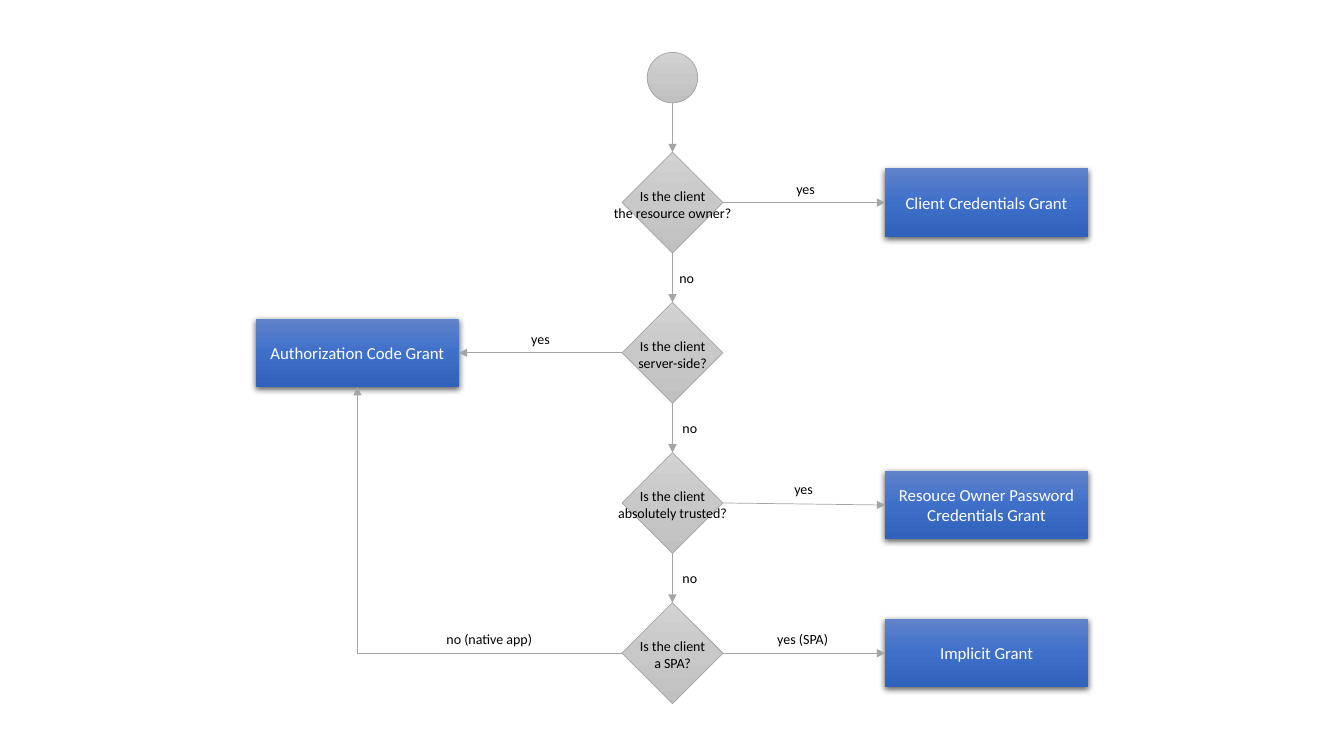
import copy
import dataclasses
import pptx
import pptx.dml.color
import pptx.enum.shapes
import pptx.enum.text
import pptx.oxml
import pptx.oxml.ns
import pptx.util

Inches = pptx.util.Inches
Pt = pptx.util.Pt
Shape = pptx.enum.shapes.MSO_SHAPE
Connector = pptx.enum.shapes.MSO_CONNECTOR
Align = pptx.enum.text.PP_ALIGN
qn = pptx.oxml.ns.qn


@dataclasses.dataclass(frozen=True)
class Theme:
    font: str = "Calibri"
    grey: tuple = ("D2D2D2", "C8C8C8", "C0C0C0")
    blue: tuple = ("6183CB", "3E70CA", "3062BB")
    line: str = "A5A5A5"
    dark: str = "000000"
    light: str = "FFFFFF"
    label_size: int = 10
    grant_size: int = 12
    line_width: float = 0.5


def rgb(value):
    return pptx.dml.color.RGBColor.from_string(value)


def xml(markup):
    namespace = pptx.oxml.ns.nsdecls("a")
    return pptx.oxml.parse_xml(markup.replace(">", f" {namespace}>", 1))


class FlowChart:
    def __init__(self, slide, theme):
        self.theme = theme
        self.shapes = slide.shapes.add_group_shape().shapes

    def outline(self, line):
        line.color.rgb = rgb(self.theme.line)
        line.width = Pt(self.theme.line_width)

    def set_text(self, box, text, size, color, align):
        box.text_frame.text = text
        para = box.text_frame.paragraphs[0]
        para.alignment = align
        for span in para.runs:
            for name, value in {"name": self.theme.font, "size": Pt(size)}.items():
                setattr(span.font, name, value)
            span.font.color.rgb = rgb(color)

    def gradient_shape(self, kind, left, top, width, height, colors):
        shape = self.shapes.add_shape(
            kind, Inches(left), Inches(top), Inches(width), Inches(height))
        shape.shadow.inherit = False
        shape.fill.gradient()
        shape.fill.gradient_angle = 270
        stops = shape.element.spPr.find(".//" + qn("a:gsLst"))
        stops.insert(1, copy.deepcopy(stops[0]))
        for index, (stop, color) in enumerate(zip(shape.fill.gradient_stops, colors)):
            stop.position = index / 2
            stop.color.rgb = rgb(color)
        return shape

    def node(self, kind, left, top, size):
        shape = self.gradient_shape(kind, left, top, size, size, self.theme.grey)
        self.outline(shape.line)

    def grant(self, text, left, top, width, height):
        box = self.gradient_shape(
            Shape.RECTANGLE, left, top, width, height, self.theme.blue)
        box.line.fill.background()
        box.element.spPr.find(qn("a:effectLst")).append(xml(
            '<a:outerShdw blurRad="57150" dist="19050" dir="5400000" algn="ctr"'
            ' rotWithShape="0"><a:srgbClr val="000000"><a:alpha val="63000"/>'
            '</a:srgbClr></a:outerShdw>'))
        box.text_frame.word_wrap = True
        box.text_frame.vertical_anchor = pptx.enum.text.MSO_ANCHOR.MIDDLE
        self.set_text(box, text, self.theme.grant_size, self.theme.light, Align.CENTER)

    def label(self, text, left, top, width, height=0.27, align=Align.LEFT):
        box = self.shapes.add_textbox(
            Inches(left), Inches(top), Inches(width), Inches(height))
        settings = {"word_wrap": False,
                    "auto_size": pptx.enum.text.MSO_AUTO_SIZE.SHAPE_TO_FIT_TEXT}
        for name, value in settings.items():
            setattr(box.text_frame, name, value)
        self.set_text(box, text, self.theme.label_size, self.theme.dark, align)

    def arrow(self, start, end, kind=Connector.STRAIGHT):
        arrow = self.shapes.add_connector(kind, *map(Inches, start + end))
        self.outline(arrow.line)
        properties = arrow.element.spPr
        properties.find(qn("a:ln")).append(xml('<a:tailEnd type="triangle"></a:tailEnd>'))
        properties.append(xml("<a:effectLst></a:effectLst>"))
        return properties

    def corner_arrow(self, start, end):
        # One bend: drawn from the end corner, then turned half round
        properties = self.arrow(end, start, Connector.ELBOW)
        properties.find(qn("a:prstGeom")).set("prst", "bentConnector2")
        properties.find(qn("a:xfrm")).set("rot", "10800000")


deck = pptx.Presentation()
deck.slide_width, deck.slide_height = Inches(13.33), Inches(7.5)
page = deck.slides.add_slide(deck.slide_layouts[6])
chart = FlowChart(page, Theme())

# Layout rules
CENTER, FIRST_TOP, STEP, DIAMOND, CIRCLE = 6.67, 1.51, 1.49, 1, 0.5
CIRCLE_TOP = 0.52
GRANT_WIDTH, GRANT_HEIGHT = 2.01, 0.68
LEFT_GRANT, RIGHT_GRANT = 2.54, 8.78
LEFT_TIP, RIGHT_TIP = CENTER - DIAMOND / 2, CENTER + DIAMOND / 2

# Question, its text width, grant, grant side, grant offset
decisions = [
    ("Is the client\vthe resource owner?", 1.39, "Client Credentials Grant", "right", 0),
    ("Is the client\vserver-side?", 0.89, "Authorization Code Grant", "left", 0),
    ("Is the client\vabsolutely trusted?", 1.3,
     "Resouce Owner Password Credentials Grant", "right", 0.02),
    ("Is the client\va SPA?", 0.86, "Implicit Grant", "right", 0),
]
tops = [FIRST_TOP + STEP * row for row in range(len(decisions))]
middles = [top + DIAMOND / 2 for top in tops]

# Start, decisions and grants
chart.node(Shape.FLOWCHART_CONNECTOR, CENTER - CIRCLE / 2, CIRCLE_TOP, CIRCLE)
previous_bottom = CIRCLE_TOP + CIRCLE
for top, middle, (question, width, grant, side, offset) in zip(tops, middles, decisions):
    chart.node(Shape.DIAMOND, LEFT_TIP, top, DIAMOND)
    chart.label(question, CENTER - width / 2, top + 0.3, width, 0.44, Align.CENTER)
    chart.arrow((CENTER, previous_bottom), (CENTER, top))
    previous_bottom = top + DIAMOND

    on_right = side == "right"
    grant_left = RIGHT_GRANT if on_right else LEFT_GRANT
    grant_edge = RIGHT_GRANT if on_right else LEFT_GRANT + GRANT_WIDTH
    chart.grant(grant, grant_left, middle + offset - GRANT_HEIGHT / 2,
                GRANT_WIDTH, GRANT_HEIGHT)
    chart.arrow((RIGHT_TIP if on_right else LEFT_TIP, middle),
                (grant_edge, middle + offset))

# Native app goes back to the authorization code grant
chart.corner_arrow((LEFT_TIP, middles[3]),
                   (LEFT_GRANT + GRANT_WIDTH / 2, middles[1] + GRANT_HEIGHT / 2))

# Answers beside the arrows
for left, top in zip((6.64, CENTER, CENTER), tops):
    chart.label("no", left, top + 1.11, 0.35)
answers = [("yes", 7.8, 0, 0.39), ("yes", 5.17, 1, 0.39), ("yes", 7.78, 2, 0.39),
           ("yes (SPA)", 7.61, 3, 0.72), ("no (native app)", 4.33, 3, 1.06)]
for text, left, row, width in answers:
    chart.label(text, left, middles[row] - 0.27, width)

deck.save("out.pptx")
